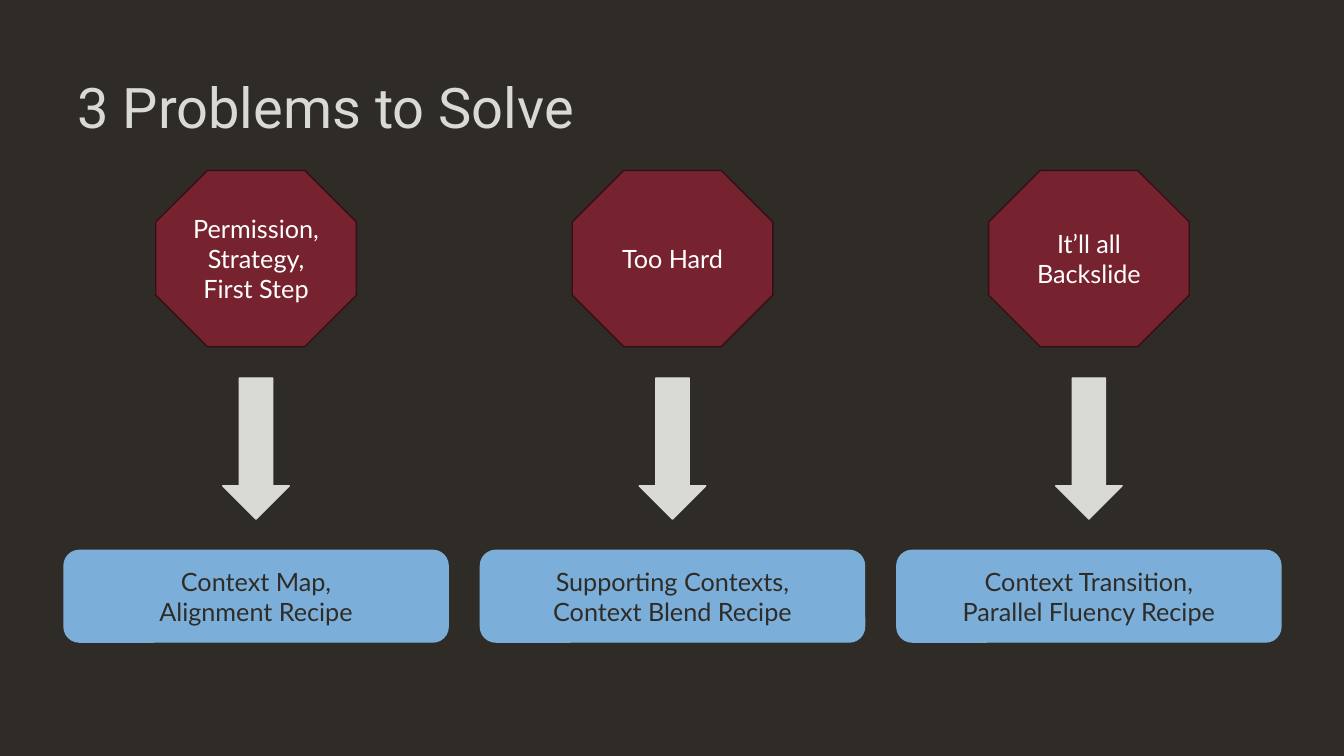
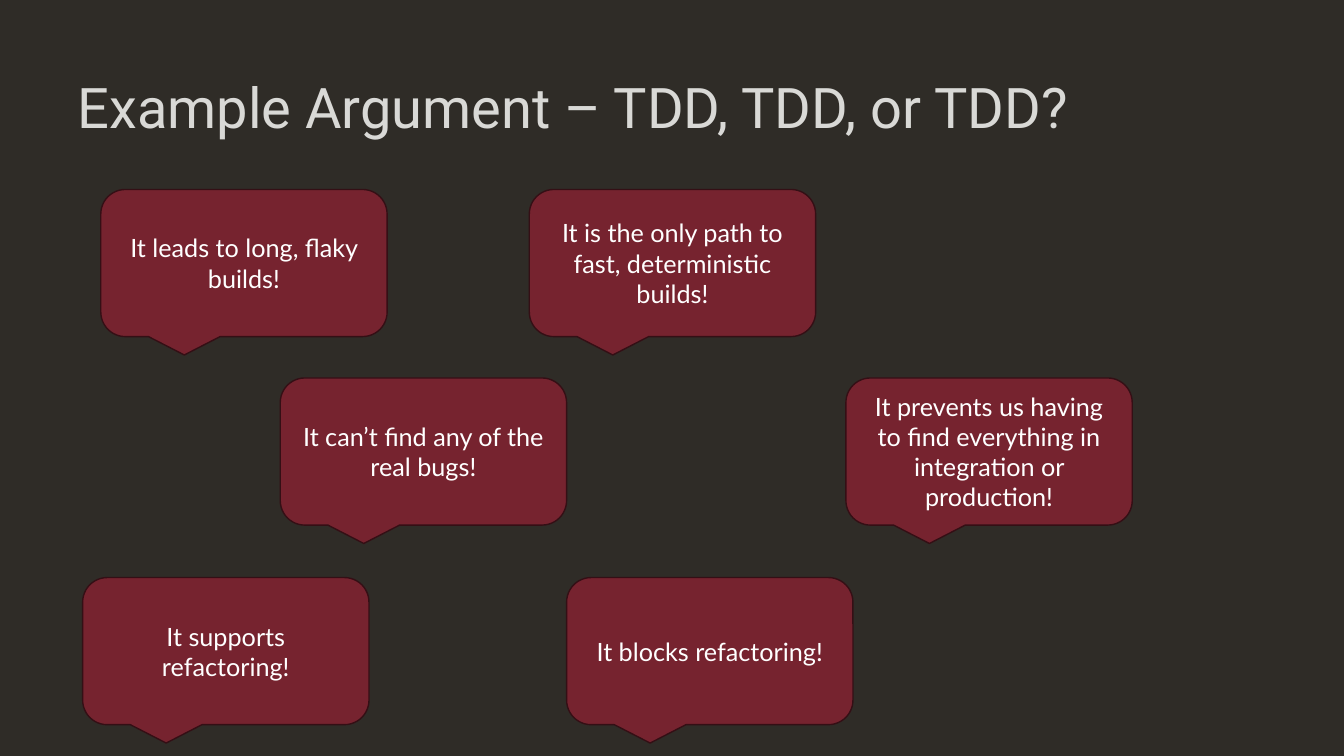
from dataclasses import dataclass

import pptx
import pptx.dml.color
import pptx.enum.shapes
import pptx.enum.text
import pptx.util

Inches = pptx.util.Inches
Pt = pptx.util.Pt
RGBColor = pptx.dml.color.RGBColor
Preset = pptx.enum.shapes.MSO_SHAPE
Align = pptx.enum.text.PP_ALIGN

CHARCOAL = RGBColor(0x2F, 0x2C, 0x27)
PALE_GREY = RGBColor(0xD9, 0xD9, 0xD6)
MAROON = RGBColor(0x76, 0x23, 0x2F)
DARK_MAROON = RGBColor(0x34, 0x0F, 0x15)
SKY_BLUE = RGBColor(0x7B, 0xAF, 0xDA)
WHITE = RGBColor(0xFF, 0xFF, 0xFF)

FRAME_FORMAT = {
    "word_wrap": True,
    "auto_size": pptx.enum.text.MSO_AUTO_SIZE.NONE,
    "vertical_anchor": pptx.enum.text.MSO_ANCHOR.MIDDLE,
}
TITLE_PLACE = {"left": Inches(0.67), "top": Inches(0.49), "width": Inches(12), "height": Inches(1.2)}
TITLE_PARAGRAPH = {"alignment": Align.LEFT, "line_spacing": 0.9}
TITLE_FONT = {"name": "Roboto", "size": Pt(40)}
LABEL_PARAGRAPH = {"alignment": Align.CENTER}
LABEL_FONT = {"name": "Lato", "size": Pt(18)}


@dataclass(frozen=True)
class Style:
    preset: Preset
    width: float
    height: float
    fill: RGBColor
    line: RGBColor
    ink: RGBColor


@dataclass(frozen=True)
class Problem:
    obstacle: str
    remedy: str


@dataclass(frozen=True)
class Opinion:
    left: float
    top: float
    words: str


OBSTACLE = Style(Preset.OCTAGON, 1.99, 1.75, MAROON, DARK_MAROON, WHITE)
ARROW = Style(Preset.DOWN_ARROW, 0.66, 1.4, PALE_GREY, PALE_GREY, CHARCOAL)
REMEDY = Style(Preset.ROUNDED_RECTANGLE, 3.81, 0.91, SKY_BLUE, SKY_BLUE, CHARCOAL)
SPEECH = Style(Preset.ROUNDED_RECTANGULAR_CALLOUT, 2.84, 1.46, MAROON, DARK_MAROON, WHITE)

FIRST_CENTER = 2.54
COLUMN_PITCH = 4.13
OBSTACLE_TOP = 1.69
ARROW_TOP = 3.75
REMEDY_TOP = 5.46
PROBLEMS = (
    Problem("Permission,\nStrategy,\nFirst Step", "Context Map,\nAlignment Recipe"),
    Problem("Too Hard", "Supporting Contexts,\nContext Blend Recipe"),
    Problem("It’ll all Backslide", "Context Transition,\nParallel Fluency Recipe"),
)

ROW_TOPS = (1.88, 3.75, 5.73)
OPINIONS = (
    Opinion(1, ROW_TOPS[0], "It leads to long, flaky builds!"),
    Opinion(5.25, ROW_TOPS[0], "It is the only path to fast, deterministic builds!"),
    Opinion(2.78, ROW_TOPS[1], "It can’t find any of the real bugs!"),
    Opinion(8.39, ROW_TOPS[1], "It prevents us having to find everything in integration or production!"),
    Opinion(0.82, ROW_TOPS[2], "It supports refactoring!"),
    Opinion(5.62, ROW_TOPS[2], "It blocks refactoring!"),
)


def apply_format(target: object, values: dict) -> None:
    for attribute, value in values.items():
        setattr(target, attribute, value)


def write_text(frame, words: str, paragraph_format: dict, font_format: dict, ink: RGBColor) -> None:
    apply_format(frame, FRAME_FORMAT)
    frame.text = words
    for paragraph in frame.paragraphs:
        apply_format(paragraph, paragraph_format)
        for run in paragraph.runs:
            apply_format(run.font, font_format)
            run.font.color.rgb = ink


def add_titled_slide(deck, heading: str):
    slide = deck.slides.add_slide(deck.slide_layouts[5])
    title = slide.shapes.title
    apply_format(title, TITLE_PLACE)
    write_text(title.text_frame, heading, TITLE_PARAGRAPH, TITLE_FONT, PALE_GREY)
    return slide


def draw(slide, style: Style, left: float, top: float, words: str = "") -> None:
    figure = slide.shapes.add_shape(
        style.preset, Inches(left), Inches(top), Inches(style.width), Inches(style.height)
    )
    figure.shadow.inherit = False
    figure.fill.solid()
    figure.fill.fore_color.rgb = style.fill
    figure.line.color.rgb = style.line
    figure.line.width = Pt(1)
    if words:
        write_text(figure.text_frame, words, LABEL_PARAGRAPH, LABEL_FONT, style.ink)


def build_problems(deck) -> None:
    slide = add_titled_slide(deck, "3 Problems to Solve")
    for column, problem in enumerate(PROBLEMS):
        center = FIRST_CENTER + column * COLUMN_PITCH
        for style, top, words in (
            (OBSTACLE, OBSTACLE_TOP, problem.obstacle),
            (ARROW, ARROW_TOP, ""),
            (REMEDY, REMEDY_TOP, problem.remedy),
        ):
            draw(slide, style, center - style.width / 2, top, words)


def build_argument(deck) -> None:
    slide = add_titled_slide(deck, "Example Argument – TDD, TDD, or TDD?")
    for opinion in OPINIONS:
        draw(slide, SPEECH, opinion.left, opinion.top, opinion.words)


def main() -> None:
    deck = pptx.Presentation()
    apply_format(deck, {"slide_width": Inches(13.33), "slide_height": Inches(7.5)})
    backdrop = deck.slide_master.background.fill
    backdrop.solid()
    backdrop.fore_color.rgb = CHARCOAL
    build_problems(deck)
    build_argument(deck)
    deck.save("out.pptx")


if __name__ == "__main__":
    main()
